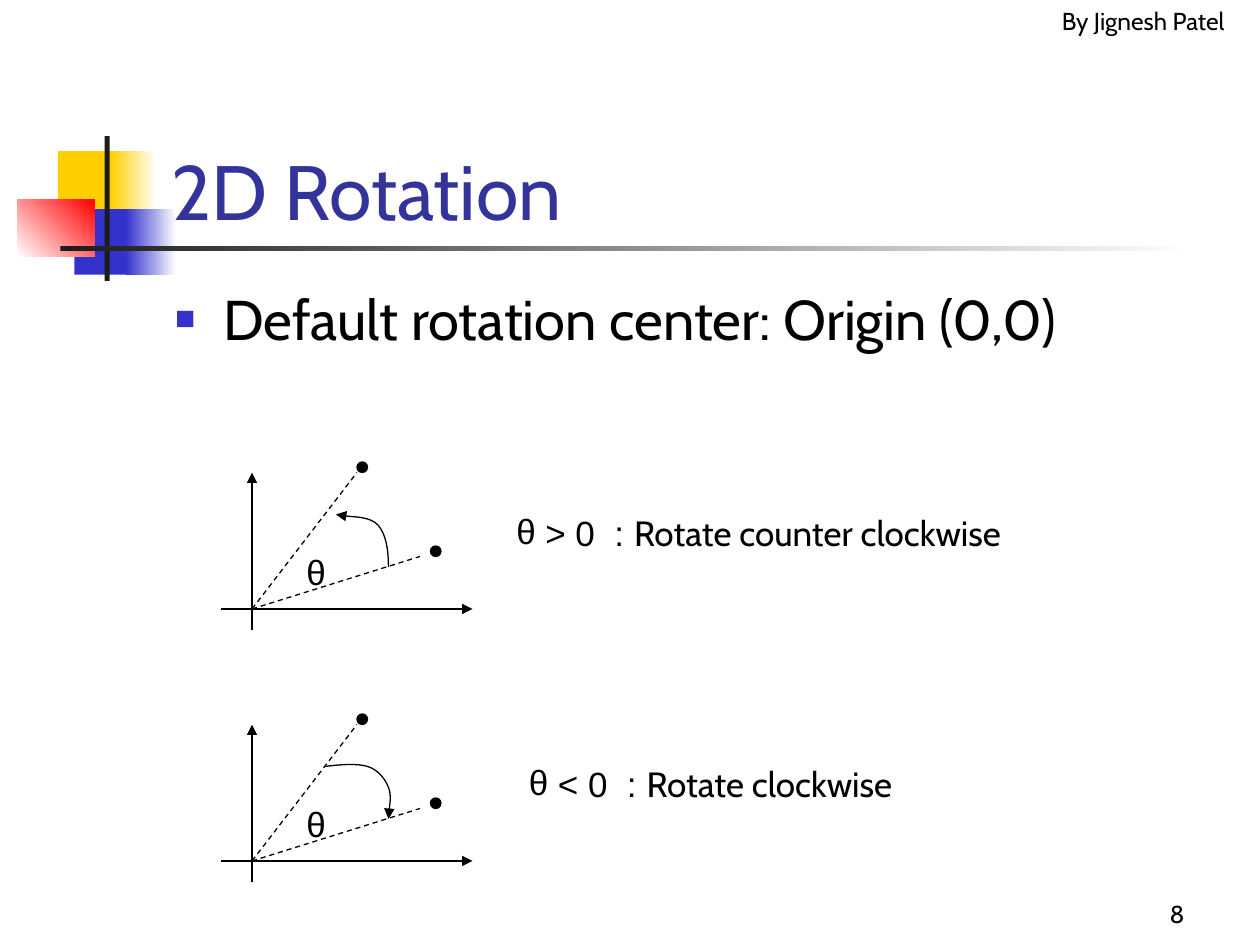
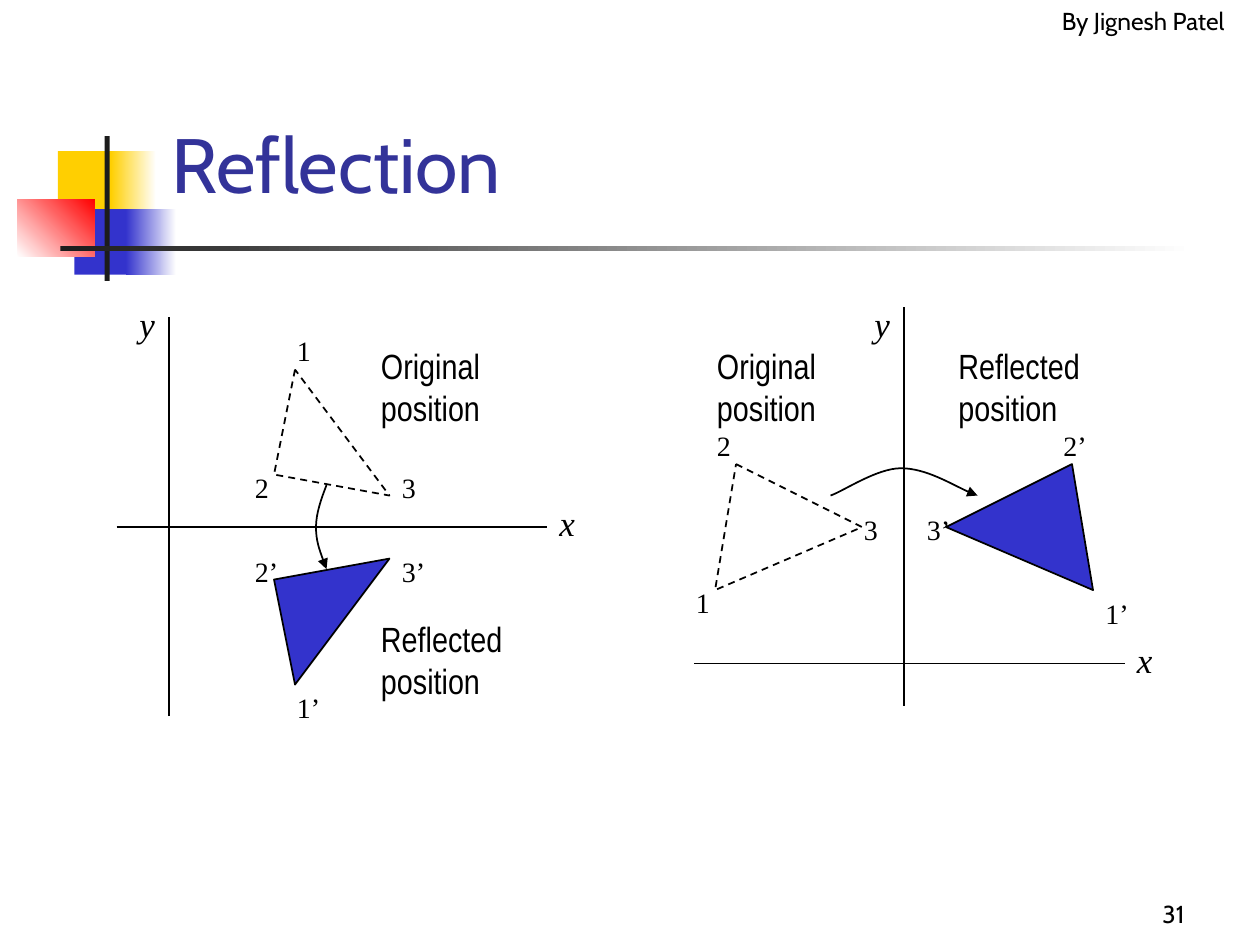
from itertools import chain

from lxml import etree
from pptx import Presentation
from pptx.dml.color import RGBColor
from pptx.enum.dml import MSO_LINE
from pptx.enum.shapes import MSO_CONNECTOR, MSO_SHAPE
from pptx.enum.text import MSO_ANCHOR, MSO_AUTO_SIZE, PP_ALIGN
from pptx.oxml.ns import qn
from pptx.util import Inches, Pt

RECTANGLE, ELLIPSE = MSO_SHAPE.RECTANGLE, MSO_SHAPE.OVAL
STRAIGHT = MSO_CONNECTOR.STRAIGHT
DASH = MSO_LINE.DASH
LEFT, RIGHT = PP_ALIGN.LEFT, PP_ALIGN.RIGHT
TOP, MIDDLE, BOTTOM = MSO_ANCHOR.TOP, MSO_ANCHOR.MIDDLE, MSO_ANCHOR.BOTTOM
FIT_SHAPE, NO_FIT = MSO_AUTO_SIZE.SHAPE_TO_FIT_TEXT, MSO_AUTO_SIZE.NONE

COLORS = {
    "ink": "000000", "title": "333399", "blue": "3333CC", "yellow": "FFCF01",
    "red": "FF0000", "rule": "1C1C1C", "paper": "FFFFFF",
}
BODY_FONT, SYMBOL_FONT = "Cabin", "Arial"
LABEL_FONT, NOTE_FONT = "Times New Roman", "Arial Narrow"
CELLS_PER_INCH = 12
THIN, MEDIUM = 0.75, 1


# Grid and colour helpers
def color(name):
    return RGBColor.from_string(COLORS[name])


def cells(count):
    return Inches(count / CELLS_PER_INCH)


def place(origin, offset):
    """Position of a point given in cells from the origin of a plane."""
    return cells(origin[0] + offset[0]), cells(origin[1] + offset[1])


def set_frame(shape, left, top, width, height):
    shape.left, shape.top = Inches(left), Inches(top)
    shape.width, shape.height = Inches(width), Inches(height)


# Text
def format_span(span, size, font, ink="ink", italic=False):
    span.font.size, span.font.name = Pt(size), font
    span.font.italic = italic
    span.font.color.rgb = color(ink)


def write(box, text, size, font, ink="ink", align=LEFT, anchor=TOP, italic=False):
    frame = box.text_frame
    frame.text = text
    frame.vertical_anchor = anchor
    for para in frame.paragraphs:
        para.alignment = align
        for span in para.runs:
            format_span(span, size, font, ink, italic)


def add_bullet(para, symbol, ink, font, indent, share=100):
    properties = para._p.get_or_add_pPr()
    properties.set("marL", str(Inches(indent)))
    properties.set("indent", str(-Inches(indent)))
    bullet_color = etree.SubElement(properties, qn("a:buClr"))
    etree.SubElement(bullet_color, qn("a:srgbClr"), val=COLORS[ink])
    etree.SubElement(properties, qn("a:buSzPct"), val=str(share * 1000))
    etree.SubElement(properties, qn("a:buFont"), typeface=font)
    etree.SubElement(properties, qn("a:buChar"), char=symbol)


def add_label(page, origin, offset, size, text, points, font, italic=False):
    box = page.shapes.add_textbox(*place(origin, offset), *map(cells, size))
    write(box, text, points, font, italic=italic)
    box.text_frame.word_wrap = False
    box.text_frame.auto_size = FIT_SHAPE
    return box


# Lines and shapes
def style_line(shape, weight, dashed=False, arrow=False):
    shape.line.color.rgb = color("ink")
    shape.line.width = Pt(weight)
    if dashed:
        shape.line.dash_style = DASH
    if arrow:
        etree.SubElement(shape.line._get_or_add_ln(), qn("a:tailEnd"), type="triangle")


def add_line(page, origin, start, end, weight, **style):
    line = page.shapes.add_connector(STRAIGHT, *place(origin, start), *place(origin, end))
    style_line(line, weight, **style)
    etree.SubElement(line.element.spPr, qn("a:effectLst"))


def add_axes(page, origin, x_span, y_span, weight, arrow=False):
    """y_span runs from the lower end to the upper one."""
    add_line(page, origin, (0, y_span[0]), (0, y_span[1]), weight, arrow=arrow)
    add_line(page, origin, (x_span[0], 0), (x_span[1], 0), weight, arrow=arrow)


def add_outline(page, origin, points, closed):
    first, *others = [place(origin, point) for point in points]
    builder = page.shapes.build_freeform(*first)
    builder.add_line_segments(others, close=closed)
    outline = builder.convert_to_shape()
    outline.shadow.inherit = False
    outline.fill.background()
    return outline


def add_triangle(page, origin, corners, filled):
    triangle = add_outline(page, origin, corners, closed=True)
    if filled:
        triangle.fill.solid()
        triangle.fill.fore_color.rgb = color("blue")
    style_line(triangle, MEDIUM, dashed=not filled)


def add_curved_arrow(page, origin, points, weight):
    """Start point, then two control points and an end point for each curve."""
    arrow = add_outline(page, origin, points, closed=False)
    segments = arrow.element.findall(".//" + qn("a:lnTo"))
    for index in range(0, len(segments), 3):
        curve = etree.Element(qn("a:cubicBezTo"))
        segments[index].addprevious(curve)
        for segment in segments[index:index + 3]:
            curve.append(segment[0])
            segment.getparent().remove(segment)
    style_line(arrow, weight, arrow=True)


def add_dot(page, origin, offset):
    dot = page.shapes.add_shape(ELLIPSE, *place(origin, offset), cells(1), cells(1))
    dot.shadow.inherit = False
    dot.fill.solid()
    dot.fill.fore_color.rgb = color("ink")
    style_line(dot, THIN)


# Shared parts
def add_block(page, frame, start, end=None, angle=0):
    block = page.shapes.add_shape(RECTANGLE, *map(Inches, frame))
    block.shadow.inherit = False
    block.line.fill.background()
    if end:
        block.fill.gradient()
        block.fill.gradient_angle = angle
        for stop, name in zip(block.fill.gradient_stops, (start, end)):
            stop.color.rgb = color(name)
    else:
        block.fill.solid()
        block.fill.fore_color.rgb = color(start)
    return block


def decorate_master(deck, page):
    """Draw the band and the author line, then hand them to the master."""
    parts = [
        add_block(page, (0.46, 1.2, 0.48, 0.52), "yellow"),
        add_block(page, (0.88, 1.2, 0.36, 0.52), "yellow", "paper"),
        add_block(page, (0.59, 1.66, 0.46, 0.52), "blue"),
        add_block(page, (1, 1.66, 0.4, 0.52), "blue", "paper"),
        add_block(page, (0.14, 1.58, 0.61, 0.46), "paper", "red", angle=45),
        add_block(page, (0.83, 1.08, 0.04, 1.15), "rule"),
        add_block(page, (0.48, 1.95, 9, 0.04), "rule", "paper"),
    ]
    author = page.shapes.add_textbox(*map(Inches, (8.33, 0, 1.67, 0.5)))
    write(author, "By Jignesh Patel", 14, BODY_FONT)
    author.text_frame.word_wrap = True
    tree = deck.slide_master.shapes.element
    for number, part in enumerate([*parts, author], start=101):
        part.element.nvSpPr.cNvPr.set("id", str(number))
        tree.insert_element_before(part.element, "p:extLst")


def set_title(page, text, anchor):
    title = page.shapes.title
    set_frame(title, 1.26, 0.67, 8.52, 1.25)
    write(title, text, 44, BODY_FONT, "title", anchor=anchor)
    title.text_frame.auto_size = NO_FIT


def add_page_number(page, number):
    box = page.shapes.add_textbox(*map(Inches, (7.42, 6.92, 2.08, 0.5)))
    write(box, number, 14, BODY_FONT, align=RIGHT, anchor=BOTTOM)
    box.text_frame.word_wrap = True


# Rotation slide
def add_rotation(page, origin, arc):
    add_axes(page, origin, (-3, 21), (2, -13), THIN, arrow=True)
    for ray_end, dot in (((16, -5), (17, -6)), ((10, -13), (10, -14))):
        add_line(page, origin, (0, 0), ray_end, THIN, dashed=True)
        add_dot(page, origin, dot)
    add_label(page, origin, (4, -6.2), (4.1, 5.3), "θ", 20, SYMBOL_FONT)
    add_curved_arrow(page, origin, arc, THIN)


def add_rule(page, origin, offset, width, condition, meaning):
    box = add_label(page, origin, offset, (width, 5.3), condition, 20, SYMBOL_FONT)
    para = box.text_frame.paragraphs[0]
    span = para.add_run()
    span.text = meaning
    format_span(span, 20, BODY_FONT)
    add_bullet(para, "θ", "ink", SYMBOL_FONT, indent=0.23)


def fill_rotation_page(page):
    set_title(page, "2D Rotation", BOTTOM)
    body = page.placeholders[1]
    set_frame(body, 1.29, 2.21, 8.5, 4.5)
    write(body, "Default rotation center: Origin (0,0)", 32, BODY_FONT)
    body.text_frame.auto_size = NO_FIT
    para = body.text_frame.paragraphs[0]
    para.space_before = Pt(8)
    add_bullet(para, "■", "blue", SYMBOL_FONT, indent=0.38, share=60)

    upper, lower = (24, 58), (24, 82)
    add_rotation(page, upper, [
        (13, -4), (13, -5.6), (12.8, -7.1), (12, -8),
        (11.2, -8.8), (8.6, -8.8), (8, -9)])
    add_rule(page, upper, (24, -9.9), 55, "> 0  : ", "Rotate counter clockwise")
    add_rotation(page, lower, [
        (7, -9), (8.5, -9.2), (10, -9.3), (11, -9),
        (12, -8.7), (12.7, -7.8), (13, -7),
        (13.3, -6.2), (13, -4.5), (13, -4)])
    add_rule(page, lower, (25.2, -10), 42, "< 0  : ", "Rotate clockwise")
    add_page_number(page, "8")


# Reflection slide
def add_reflection(page, origin, x_span, y_span, corners, mirror, labels, notes, names, arc):
    """mirror holds the factors for x and y that give the reflected corners."""
    add_axes(page, origin, x_span, y_span, MEDIUM)
    for text, offset in zip(("1", "2", "3", "1’", "2’", "3’"), labels):
        width = 3.7 if len(text) == 1 else 4.6
        add_label(page, origin, offset, (width, 4.4), text, 16, LABEL_FONT)
    for word, offset in zip(("Original", "Reflected"), notes):
        note = add_label(page, origin, offset, (15, 9.2), word + "\nposition", 20, NOTE_FONT)
        note.text_frame.word_wrap = True
    reflected = [(x * mirror[0], y * mirror[1]) for x, y in corners]
    add_triangle(page, origin, corners, filled=False)
    add_triangle(page, origin, reflected, filled=True)
    for name, offset in zip("xy", names):
        add_label(page, origin, offset, (3.8, 5.3), name, 20, LABEL_FONT, italic=True)
    add_curved_arrow(page, origin, arc, MEDIUM)


def fill_reflection_page(page):
    set_title(page, "Reflection", MIDDLE)
    columns = (11, 7, 21)
    add_reflection(
        page, (16.1, 50.2), (-5, 36), (18, -20),
        corners=[(12, -15), (10, -5), (21, -3)], mirror=(1, -1),
        labels=chain(zip(columns, (-19, -6, -6)), zip(columns, (15, 2, 2))),
        notes=[(19, -18), (19, 8)], names=[(36, -3), (-4, -22)],
        arc=[(15, -4), (14.5, -2.7), (14, -1.3), (14, 0),
             (14, 1.3), (14.5, 2.7), (15, 4)])
    add_reflection(
        page, (86.1, 63.2), (-20, 21), (4, -34),
        corners=[(-16, -19), (-4, -13), (-18, -7)], mirror=(-1, 1),
        labels=[(-21, -8), (-19, -23), (-5, -15), (18, -7), (14, -23), (1, -15)],
        notes=[(-19, -31), (4, -31)], names=[(21, -3), (-4, -35)],
        arc=[(-7, -16), (-5.8, -16.4), (-2.6, -18.6), (-0.3, -18.6),
             (2.1, -18.6), (5.5, -16.5), (7, -16)])
    add_page_number(page, "31")


def main():
    deck = Presentation()
    deck.slide_width, deck.slide_height = Inches(10), Inches(7.5)
    rotation_page = deck.slides.add_slide(deck.slide_layouts[1])
    reflection_page = deck.slides.add_slide(deck.slide_layouts[5])
    decorate_master(deck, rotation_page)
    fill_rotation_page(rotation_page)
    fill_reflection_page(reflection_page)
    deck.save("out.pptx")


if __name__ == "__main__":
    main()
